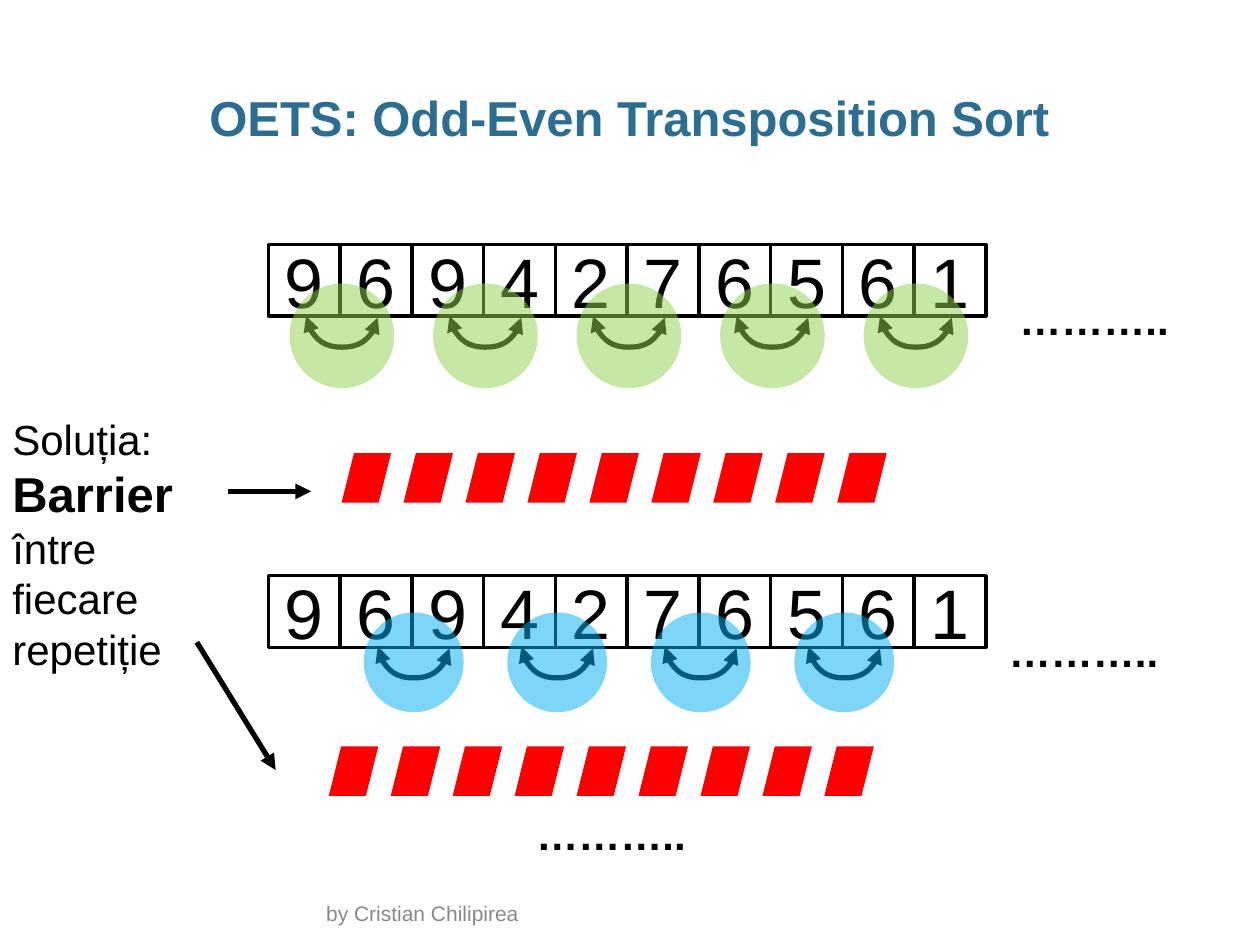
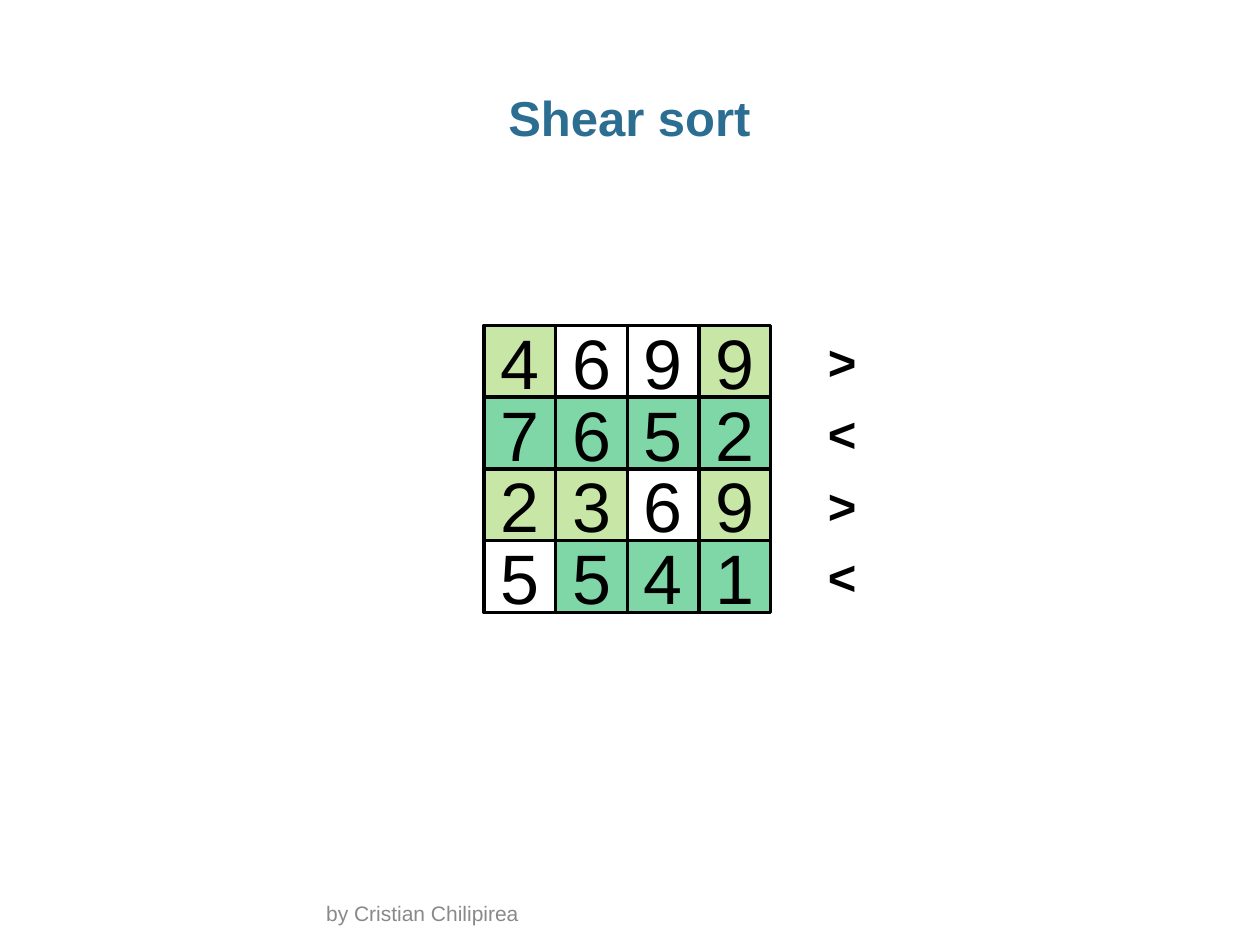
"""Build two slides on odd-even transposition sort and shear sort."""
from dataclasses import dataclass

from lxml.etree import SubElement
from pptx import Presentation
from pptx.dml.color import RGBColor
from pptx.enum.shapes import MSO_CONNECTOR, MSO_SHAPE
from pptx.enum.text import MSO_ANCHOR, MSO_AUTO_SIZE, PP_ALIGN
from pptx.oxml.ns import qn
from pptx.util import Pt


@dataclass(frozen=True)
class Theme:
    font: str = "Arial"
    title: str = "2C6D92"
    footer: str = "898989"
    ink: str = "000000"
    light_green: str = "92D050"
    dark_green: str = "00B050"
    blue: str = "00B0F0"
    barrier: str = "FF0000"
    digit_size: int = 40
    title_size: int = 28
    body_size: int = 24
    footer_size: int = 12


theme = Theme()


def write(frame, text, *, size=theme.body_size, color=theme.ink, bold=False,
          align=PP_ALIGN.LEFT, anchor=MSO_ANCHOR.TOP, wrap=True, grow=False, fresh=False):
    frame.word_wrap = wrap
    frame.vertical_anchor = anchor
    frame.auto_size = MSO_AUTO_SIZE.SHAPE_TO_FIT_TEXT if grow else MSO_AUTO_SIZE.NONE
    para = frame.add_paragraph() if fresh else frame.paragraphs[-1]
    para.alignment = align
    span = para.add_run()
    span.text = text
    span.font.name = theme.font
    span.font.size = Pt(size)
    span.font.bold = bold
    span.font.color.rgb = RGBColor.from_string(color)
    return para


def add_figure(page, kind, left, top, side, fill=None, opacity=100, outline=None):
    figure = page.shapes.add_shape(kind, Pt(left), Pt(top), Pt(side), Pt(side))
    figure.shadow.inherit = False
    if fill:
        figure.fill.solid()
        figure.fill.fore_color.rgb = RGBColor.from_string(fill)
        color = figure.element.spPr.find(qn("a:solidFill")).find(qn("a:srgbClr"))
        SubElement(color, qn("a:alpha"), val=str(opacity * 1000))
    else:
        figure.fill.background()
    if outline:
        figure.line.color.rgb = RGBColor.from_string(outline)
        figure.line.width = Pt(2)
    else:
        figure.line.fill.background()
    return figure


deck = Presentation()
deck.slide_width, deck.slide_height = Pt(720), Pt(540)

pages = []
for title in ("OETS: Odd-Even Transposition Sort", "Shear sort"):
    page = deck.slides.add_slide(deck.slide_layouts[6])
    pages.append(page)
    box = page.shapes.add_textbox(Pt(179.3), Pt(515.5), Pt(361.4), Pt(17.3))
    write(box.text_frame, "by Cristian Chilipirea", size=theme.footer_size,
          color=theme.footer, anchor=MSO_ANCHOR.BOTTOM)
    box = page.shapes.add_textbox(Pt(24.5), Pt(49), Pt(670.3), Pt(36))
    box.text_frame.margin_left = box.text_frame.margin_right = 0
    para = write(box.text_frame, title, size=theme.title_size, color=theme.title,
                 bold=True, align=PP_ALIGN.CENTER)
    para.line_spacing = 0.95
transposition_page, shear_page = pages

cell = 41
array_left = 153.4
array_digits = "9694276561"
unmarked = "." * len(array_digits)
cell_fills = {".": None, "L": theme.light_green, "D": theme.dark_green}
grids = [
    (transposition_page, array_left, 139.7, [(array_digits, unmarked)]),
    (transposition_page, array_left, 329, [(array_digits, unmarked)]),
    (shear_page, 276.5, 186,
     [("4699", "L..L"), ("7652", "DDDD"), ("2369", "LL.L"), ("5541", ".DDD")]),
]
for page, left, top, rows in grids:
    for row, (digits, marks) in enumerate(rows):
        for column, (digit, mark) in enumerate(zip(digits, marks)):
            square = add_figure(page, MSO_SHAPE.RECTANGLE, left + column * cell,
                                top + row * cell, cell, cell_fills[mark], 50, theme.ink)
            write(square.text_frame, digit, size=theme.digit_size,
                  align=PP_ALIGN.CENTER, anchor=MSO_ANCHOR.MIDDLE)

arrows = []
swap_phases = [
    (1, 5, 181, 162, 59.8, theme.light_green),
    (2, 4, 370, 350, 57, theme.blue),
]
for first, count, arc_top, disc_top, disc_side, color in swap_phases:
    for pair in range(count):
        center = array_left + (first + 2 * pair) * cell + 1
        arc = transposition_page.shapes.add_connector(
            MSO_CONNECTOR.CURVE, Pt(center + 0.5), Pt(arc_top - cell / 2),
            Pt(center - 0.5), Pt(arc_top + cell / 2))
        arc.element.spPr.find(qn("a:xfrm")).set("rot", "16200000")
        geometry = arc.element.spPr.find(qn("a:prstGeom"))
        guides = geometry.find(qn("a:avLst"))
        if guides is None:
            guides = SubElement(geometry, qn("a:avLst"))
        SubElement(guides, qn("a:gd"), name="adj1", fmla="val 1800000")
        arrows.append((arc, ("a:headEnd", "a:tailEnd")))
        add_figure(transposition_page, MSO_SHAPE.OVAL, center - disc_side / 2,
                   disc_top, disc_side, color, 51)

for barrier_left, barrier_top in ((195.2, 259), (187.9, 426.5)):
    for step in range(9):
        add_figure(transposition_page, MSO_SHAPE.PARALLELOGRAM,
                   barrier_left + step * 35.4, barrier_top, 28.3, theme.barrier)

for left, top in ((575.5, 164.2), (569.5, 354.2), (299.5, 458.6)):
    box = transposition_page.shapes.add_textbox(Pt(left), Pt(top), Pt(100.8), Pt(36))
    write(box.text_frame, "………..", bold=True, wrap=False, grow=True)

box = transposition_page.shapes.add_textbox(Pt(0), Pt(232.6), Pt(136), Pt(157.7))
write(box.text_frame, "Soluția:", grow=True)
write(box.text_frame, "Barrier", size=theme.title_size, bold=True, grow=True, fresh=True)
write(box.text_frame, " între fiecare repetiție", grow=True)

for start_x, start_y, end_x, end_y in ((130.3, 280.8, 177.8, 280.8), (112.5, 367, 157.5, 440)):
    pointer = transposition_page.shapes.add_connector(
        MSO_CONNECTOR.STRAIGHT, Pt(start_x), Pt(start_y), Pt(end_x), Pt(end_y))
    arrows.append((pointer, ("a:tailEnd",)))

for arrow, ends in arrows:
    arrow.line.color.rgb = RGBColor.from_string(theme.ink)
    arrow.line.width = Pt(3)
    outline = arrow.element.spPr.find(qn("a:ln"))
    for end in ends:
        SubElement(outline, qn(end), type="triangle")
    SubElement(arrow.element.spPr, qn("a:effectLst"))

for row, sign in enumerate("><><"):
    box = shear_page.shapes.add_textbox(Pt(466), Pt(186 + row * cell), Pt(31), Pt(cell))
    write(box.text_frame, sign, size=theme.title_size, bold=True, wrap=False, grow=True)

deck.save("out.pptx")
